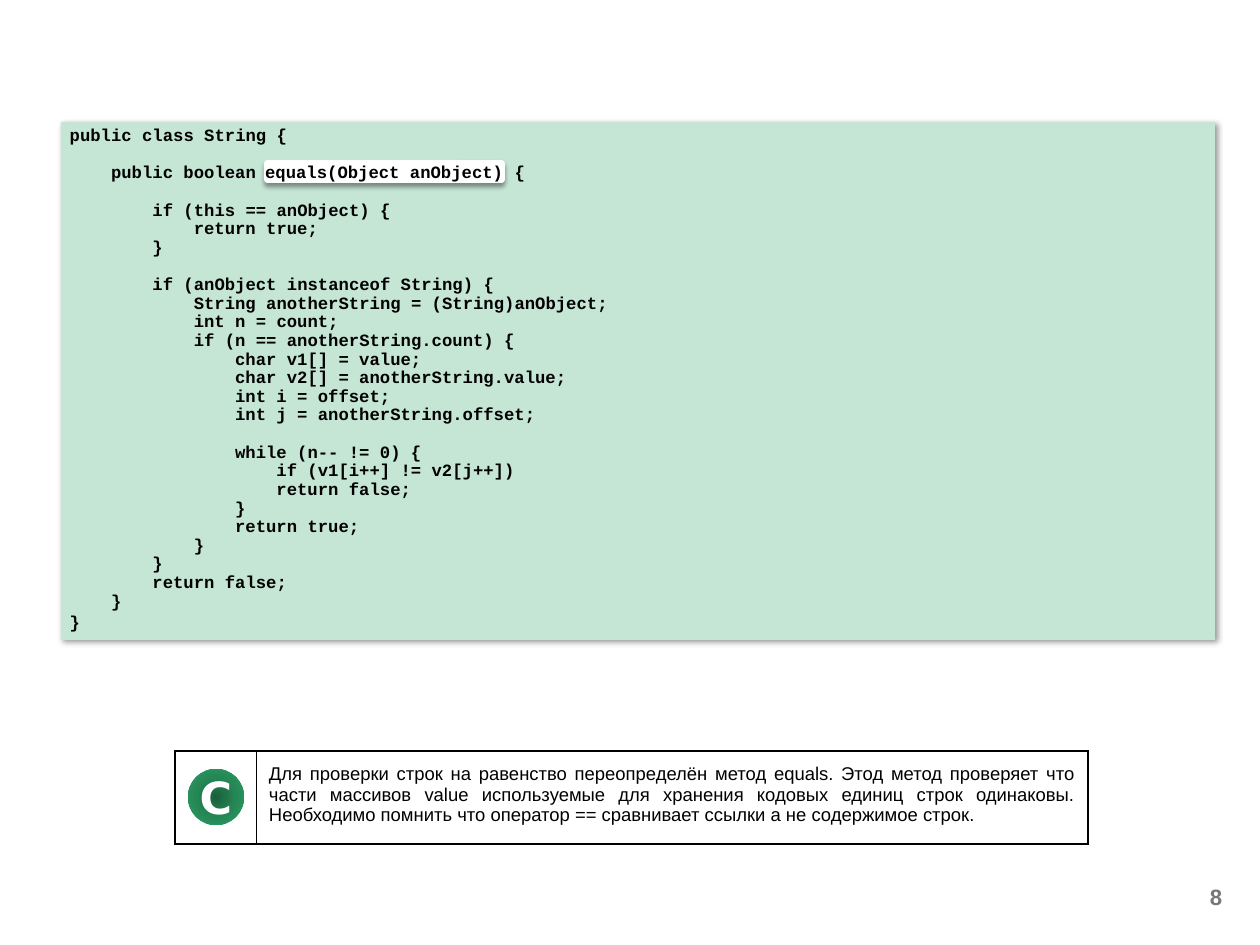
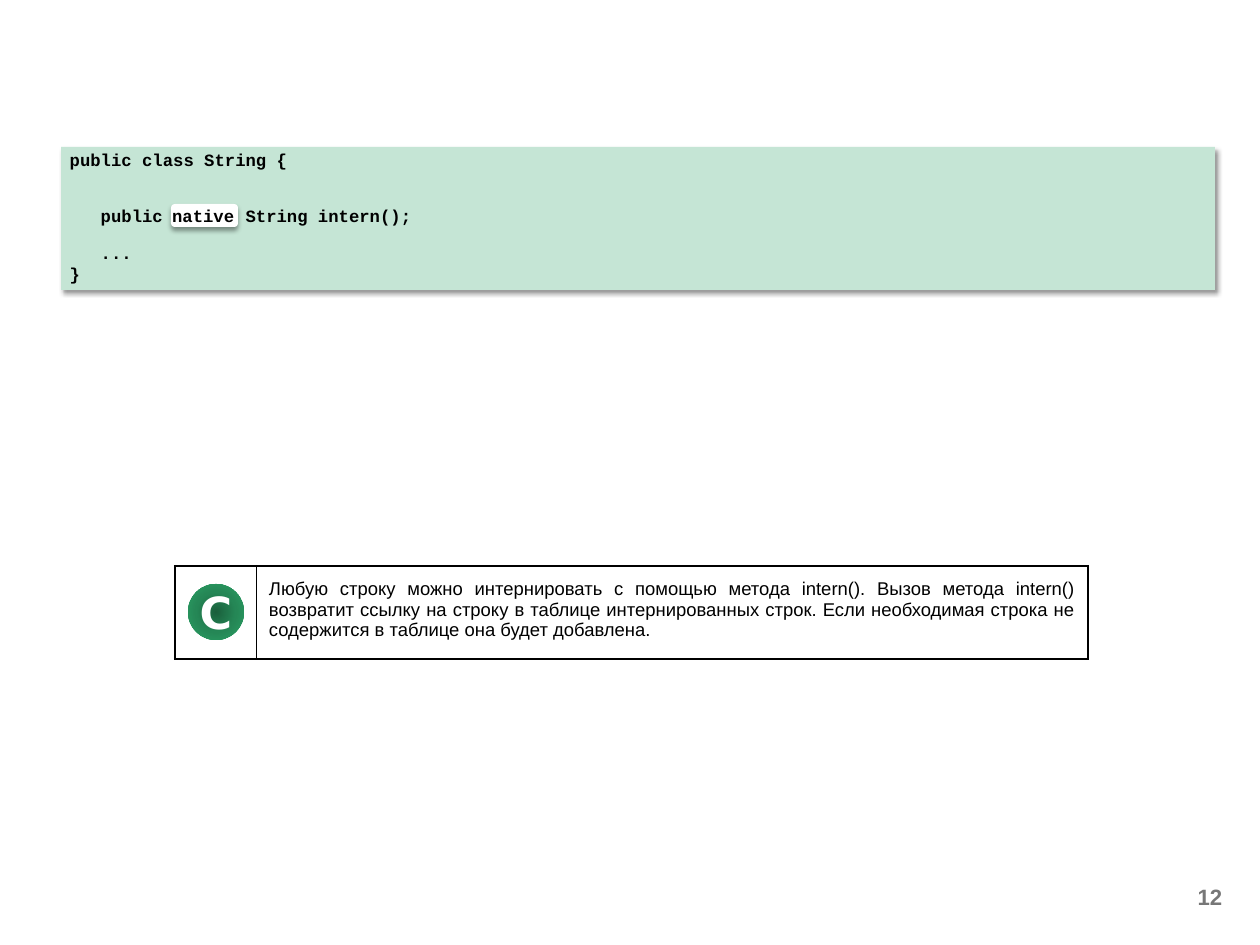
import pptx
import pptx.util
import pptx.dml.color
import pptx.enum.shapes
import pptx.enum.text
import pptx.oxml
import pptx.oxml.ns

Pt = pptx.util.Pt
RGB = pptx.dml.color.RGBColor
KIND = pptx.enum.shapes.MSO_SHAPE
ALIGN = pptx.enum.text.PP_ALIGN
ANCHOR = pptx.enum.text.MSO_ANCHOR

# Shared scale, colours and text styles
SCALE = 914400 / 88.6
BLACK = RGB(0, 0, 0)
WHITE = RGB(255, 255, 255)
MINT = RGB(0xC5, 0xE5, 0xD5)
GREY = RGB(0x77, 0x77, 0x77)
GREENS = (RGB(0x1A, 0x5F, 0x3C), RGB(0x25, 0x87, 0x56), RGB(0x2B, 0xA1, 0x66))

CODE = {"name": "Courier New", "size": Pt(14), "bold": True, "color": BLACK}
NOTE = {"name": "Arial", "size": Pt(15), "bold": False, "color": BLACK}
PAGE = {"name": "Arial", "size": Pt(18), "bold": True, "color": GREY}
BADGE = {"name": "DejaVu Sans", "size": Pt(36), "bold": True, "color": WHITE}

PITCH = 15.15   # code line height, points
LAST = 17       # height of the closing line, points
CHAR = 8.4      # width of one code character, points
THICK, THIN = 2.25, 0.5
NS = pptx.oxml.ns.nsdecls("a")


def px(n):
    return round(n * SCALE)


def place(box):
    return [px(n) for n in box]


def write(para, text, style, align=ALIGN.LEFT):
    run = para.add_run()
    run.text = text
    para.alignment = align
    for key, value in style.items():
        if key == "color":
            run.font.color.rgb = value
        else:
            setattr(run.font, key, value)


def pad(item, size):
    for side in ("left", "top", "right", "bottom"):
        setattr(item, "margin_" + side, px(size))


def shape(slide, kind, box, fill=None):
    item = slide.shapes.add_shape(kind, *place(box))
    item.shadow.inherit = False
    item.line.fill.background()
    if fill is not None:
        item.fill.solid()
        item.fill.fore_color.rgb = fill
    return item


def shade(item, angle):
    effect = item.element.spPr.find(pptx.oxml.ns.qn("a:effectLst"))
    effect.append(pptx.oxml.parse_xml(
        f'<a:outerShdw {NS} blurRad="{Pt(4)}" dist="{Pt(3)}" '
        f'dir="{angle * 60000}" algn="tl" rotWithShape="0">'
        f'<a:srgbClr val="{BLACK}"><a:alpha val="40000"/></a:srgbClr>'
        '</a:outerShdw>'))


# Code panel: blank lines become space before, leading spaces become indents
def panel(slide, box, code):
    item = shape(slide, KIND.RECTANGLE, box, MINT)
    shade(item, 45)
    frame = item.text_frame
    frame.word_wrap = True
    frame.vertical_anchor = ANCHOR.TOP
    lines = code.strip().split("\n")
    gap = 0
    for i, line in enumerate(lines):
        text = line.strip()
        if not text:
            gap += PITCH
            continue
        para = frame.add_paragraph() if i else frame.paragraphs[0]
        write(para, text, CODE)
        para.line_spacing = Pt(LAST if i == len(lines) - 1 else PITCH)
        para.space_before = Pt(gap)
        depth = len(line) - len(line.lstrip())
        props = para._p.get_or_add_pPr()
        props.set("marL", str(Pt(depth * CHAR)))
        props.set("indent", "0")
        gap = 0


# Raised white label over the key words of the code
def label(slide, box, text):
    item = shape(slide, KIND.ROUNDED_RECTANGLE, box, WHITE)
    shade(item, 90)
    frame = item.text_frame
    frame.word_wrap = False
    frame.vertical_anchor = ANCHOR.TOP
    pad(frame, 0)
    write(frame.paragraphs[0], text, CODE)


def border(cell, left, right):
    widths = {"L": left, "R": right, "T": THICK, "B": THICK}
    props = cell._tc.get_or_add_tcPr()
    for i, (side, width) in enumerate(widths.items()):
        props.insert(i, pptx.oxml.parse_xml(
            f'<a:ln{side} {NS} w="{Pt(width)}"><a:solidFill>'
            f'<a:srgbClr val="{BLACK}"/></a:solidFill></a:ln{side}>'))


# Round badge with a radial gradient
def badge(slide, box):
    item = shape(slide, KIND.OVAL, box)
    stops = "".join(
        f'<a:gs pos="{i * 50000}"><a:srgbClr val="{tone}"/></a:gs>'
        for i, tone in enumerate(GREENS))
    props = item.element.spPr
    props.insert(2, pptx.oxml.parse_xml(
        f'<a:gradFill {NS} rotWithShape="1"><a:gsLst>{stops}</a:gsLst>'
        '<a:path path="circle"><a:fillToRect l="50000" t="50000" '
        'r="50000" b="50000"/></a:path></a:gradFill>'))
    frame = item.text_frame
    frame.word_wrap = False
    frame.vertical_anchor = ANCHOR.MIDDLE
    pad(frame, 0)
    write(frame.paragraphs[0], "C", BADGE, ALIGN.CENTER)


# Framed note: badge cell and text cell
def note(slide, box, text):
    left, top, width, height = box
    side = 81
    table = slide.shapes.add_table(1, 2, *place(box)).table
    table.first_row = table.horz_banding = False
    table.rows[0].height = px(height)
    for col, size in zip(table.columns, (side, width - side)):
        col.width = px(size)
    edges = ((THICK, THIN), (THIN, THICK))
    for cell, ends in zip(table.rows[0].cells, edges):
        cell.fill.solid()
        cell.fill.fore_color.rgb = WHITE
        border(cell, *ends)
    body = table.cell(0, 1)
    pad(body, 13)
    write(body.text_frame.paragraphs[0], text, NOTE, ALIGN.JUSTIFY)
    badge(slide, (left + 13, top + 18, 56, 56))


def number(slide, box, value):
    frame = slide.shapes.add_textbox(*place(box)).text_frame
    frame.word_wrap = True
    frame.vertical_anchor = ANCHOR.MIDDLE
    write(frame.paragraphs[0], str(value), PAGE, ALIGN.RIGHT)


# One lesson slide: code, label, note and page number
def lesson(deck, page, code, span, words, spot, text, base):
    slide = deck.slides.add_slide(deck.slide_layouts[6])
    top, height = span
    panel(slide, (61, top, 1154, height), code)
    x, y, width = spot
    label(slide, (61 + x, top + y, width, 23), words)
    note(slide, (175, base, 913, 93), text)
    number(slide, (937, 873, 294, 47), page)


EQUALS = """
public class String {

    public boolean equals(Object anObject) {

        if (this == anObject) {
            return true;
        }

        if (anObject instanceof String) {
            String anotherString = (String)anObject;
            int n = count;
            if (n == anotherString.count) {
                char v1[] = value;
                char v2[] = anotherString.value;
                int i = offset;
                int j = anotherString.offset;

                while (n-- != 0) {
                    if (v1[i++] != v2[j++])
                    return false;
                }
                return true;
            }
        }
        return false;
    }
}
"""

INTERN = """
public class String {


   public native String intern();

   ...
}
"""

deck = pptx.Presentation()
deck.slide_width, deck.slide_height = px(1260), px(945)

lesson(deck, 8, EQUALS, (122, 518),
       "equals(Object anObject)", (203, 38, 241),
       "Для проверки строк на равенство переопределён метод equals. "
       "Этод метод проверяет что части массивов value используемые для "
       "хранения кодовых единиц строк одинаковы. Необходимо помнить что "
       "оператор == сравнивает ссылки а не содержимое строк.", 751)

lesson(deck, 12, INTERN, (147, 143),
       "native", (110, 57, 67),
       "Любую строку можно интернировать с помощью метода intern(). "
       "Вызов метода intern() возвратит ссылку на строку в таблице "
       "интернированных строк. Если необходимая строка не содержится "
       "в таблице она будет добавлена.", 566)

deck.save("out.pptx")
